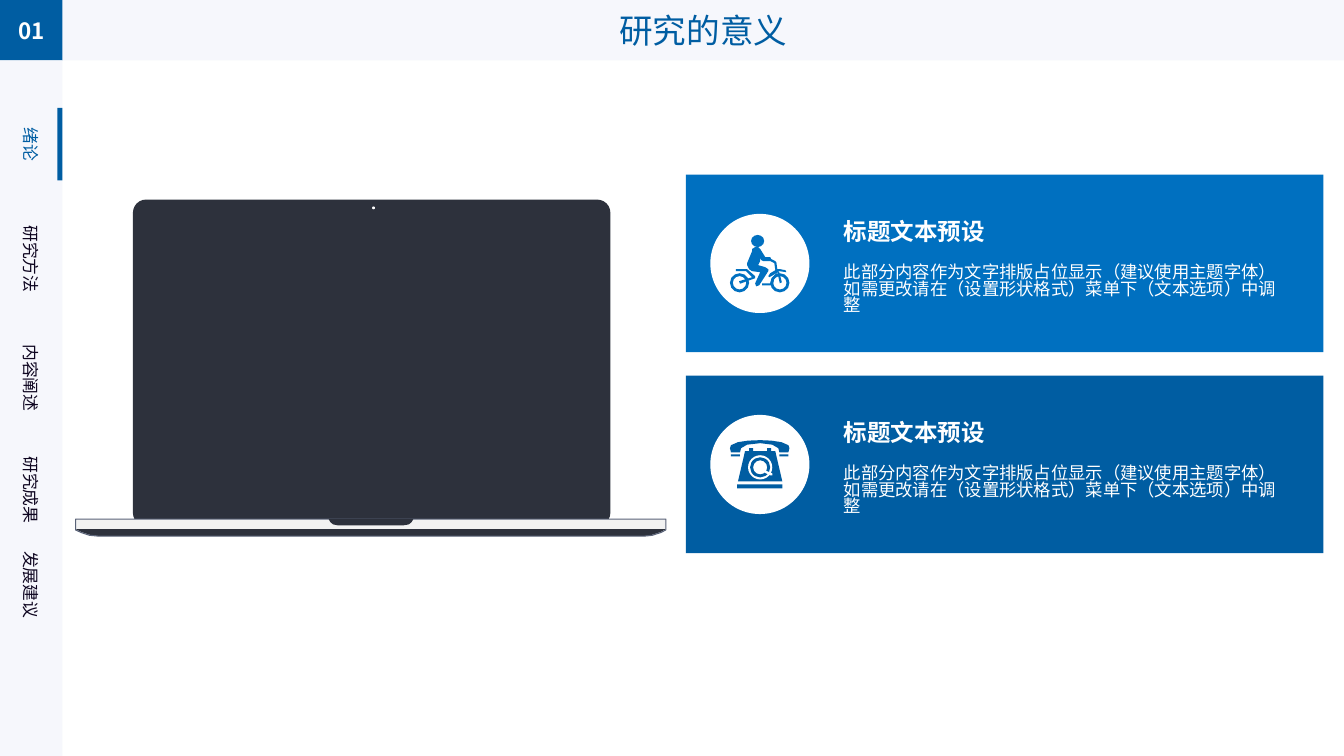
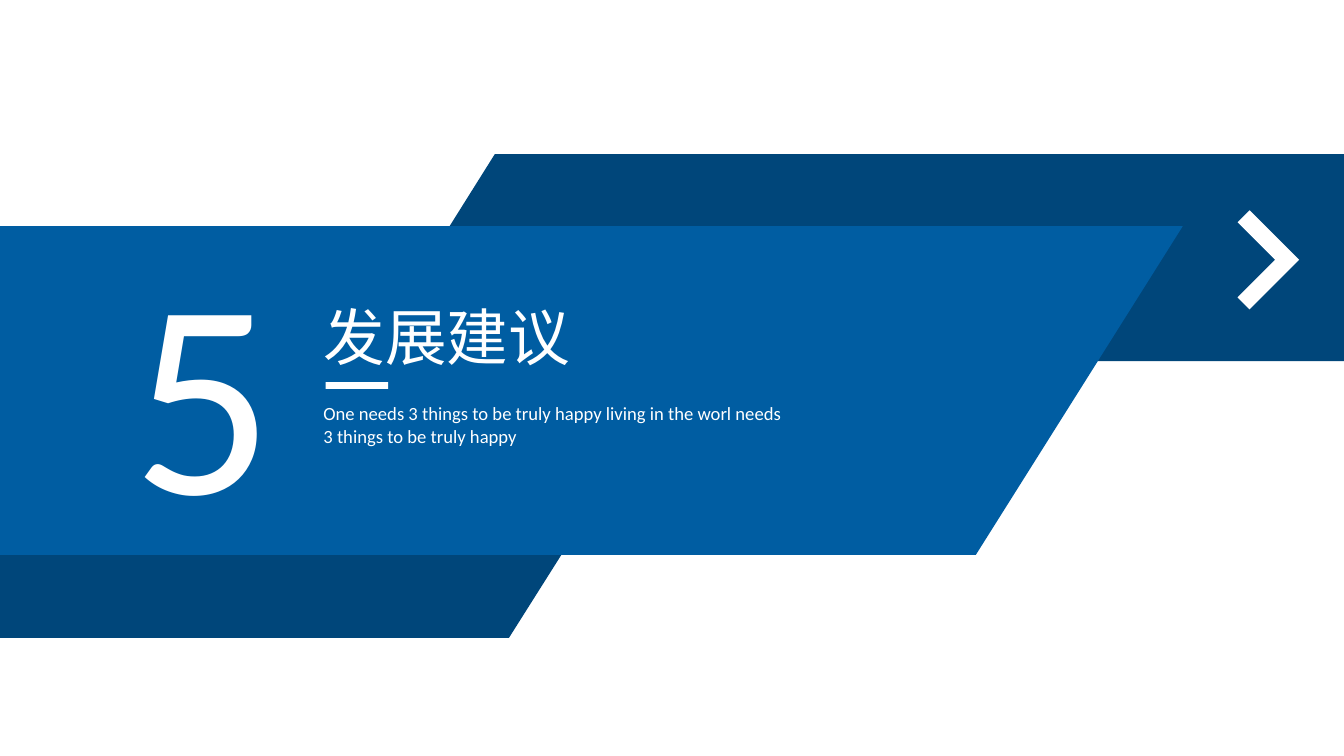
from lxml import etree
from pptx import Presentation
from pptx.dml.color import RGBColor
from pptx.enum.shapes import MSO_SHAPE
from pptx.enum.text import MSO_ANCHOR, MSO_AUTO_SIZE, PP_ALIGN
from pptx.oxml.ns import qn
from pptx.util import Pt

RECT, OVAL, RING = MSO_SHAPE.RECTANGLE, MSO_SHAPE.OVAL, MSO_SHAPE.DONUT
ROUND = MSO_SHAPE.ROUNDED_RECTANGLE
TOP, MID, LOW = MSO_ANCHOR.TOP, MSO_ANCHOR.MIDDLE, MSO_ANCHOR.BOTTOM
LEFT, CENTER = PP_ALIGN.LEFT, PP_ALIGN.CENTER
FIXED = MSO_AUTO_SIZE.NONE

SANS = "Noto Sans CJK SC"
THEME = {
    "color": {
        "blue": "005DA2", "bright": "0070C0", "navy": "00467A", "white": "FFFFFF",
        "pale": "F6F7FC", "ink": "0E0520", "dark": "2D313C", "light": "F2F2F2",
        "edge": "5A6378",
    },
    "text": {
        "badge": {"size": 16, "name": "Noto Sans CJK JP", "bold": True},
        "title": {"size": 24, "name": SANS, "bold": False},
        "menu": {"size": 12, "name": SANS},
        "head": {"size": 16.8, "name": SANS, "bold": True},
        "body": {"size": 12.4, "name": SANS},
        "number": {"size": 199, "name": "Calibri"},
        "part": {"size": 44, "name": SANS, "bold": False},
        "note": {"size": 13.3, "name": "Calibri"},
    },
}
TINT = {key: RGBColor.from_string(value) for key, value in THEME["color"].items()}
WIDE, HIGH = 960, 540
BAR, SIDE = 43.2, 44.6


def draw(slide, form, spot, fill=None, line=None, base=(0, 0), unit=1):
    if form is None:
        dots = [(Pt(base[0] + x * unit), Pt(base[1] + y * unit)) for x, y in spot]
        path = slide.shapes.build_freeform(*dots[0])
        path.add_line_segments(dots[1:], close=True)
        shape = path.convert_to_shape()
    else:
        x, y, w, h = spot
        shape = slide.shapes.add_shape(
            form, Pt(base[0] + x * unit), Pt(base[1] + y * unit), Pt(w * unit), Pt(h * unit))
    shape.shadow.inherit = False
    if fill:
        shape.fill.solid()
        shape.fill.fore_color.rgb = TINT[fill]
    else:
        shape.fill.background()
    if line:
        shape.line.color.rgb = TINT[line]
        shape.line.width = Pt(0.8)
    else:
        shape.line.fill.background()
    return shape


def write(slide, shape, text, style, tint, align=LEFT, space=None, **extra):
    if isinstance(shape, tuple):
        shape = slide.shapes.add_textbox(*[Pt(value) for value in shape])
    frame = shape.text_frame
    frame.text = text
    setup = {"word_wrap": True, "auto_size": FIXED, "vertical_anchor": TOP}
    for key, value in {**setup, **extra}.items():
        setattr(frame, key, value)
    look = {**THEME["text"][style]}
    look["size"] = Pt(look["size"])
    for para in frame.paragraphs:
        para.alignment = align
        if space:
            para.line_spacing = space
        for run in para.runs:
            for key, value in look.items():
                setattr(run.font, key, value)
            run.font.color.rgb = TINT[tint]
            east = etree.SubElement(run.font._element, qn("a:ea"))
            east.set("typeface", look["name"])
    return shape


deck = Presentation()
deck.slide_width, deck.slide_height = Pt(WIDE), Pt(HIGH)
plain = deck.slide_layouts[5]

slide = deck.slides.add_slide(plain)
title = slide.shapes.title
place = {"left": SIDE, "top": 0, "width": WIDE - SIDE, "height": BAR}
for key, value in place.items():
    setattr(title, key, Pt(value))
title.fill.solid()
title.fill.fore_color.rgb = TINT["pale"]
write(slide, title, "研究的意义", "title", "blue", CENTER, vertical_anchor=MID)
badge = draw(slide, RECT, (0, 0, SIDE, BAR), "blue")
write(slide, badge, "01", "badge", "white", CENTER, vertical_anchor=MID)
draw(slide, RECT, (0, BAR, SIDE, HIGH - BAR), "pale")

menu = [("绪论", 103), ("研究方法", 185), ("内容阐述", 270), ("研究成果", 350), ("发展建议", 417.6)]
for row, (label, mid) in enumerate(menu):
    spot = (SIDE / 2 - 32, mid - 10.8, 64, 21.6)
    item = write(slide, spot, label, "menu", "ink" if row else "blue", CENTER, word_wrap=False)
    item.rotation = 90
draw(slide, RECT, (41, 77, 3.6, 51.8), "blue")

screen = draw(slide, ROUND, (95, 142.6, 341, 233), "dark")
screen.adjustments[0] = 0.04
laptop = [
    (RECT, (54, 370.8, 421.6, 7.4), "light", None),
    (None, [(54, 378), (58, 380), (64, 382), (70.6, 383), (460, 383),
            (466, 382), (472, 380), (475.6, 378)], "dark", None),
    (None, [(54, 370.8), (475.6, 370.8), (475.6, 378.6), (472, 380.4), (466, 382.4),
            (460, 383), (70.6, 383), (64, 382.4), (58, 380.4), (54, 378.6)], None, "edge"),
    (None, [(234.8, 370.8), (236, 373), (238, 374.6), (241, 375.2), (288.4, 375.2),
            (292, 374.6), (294, 373), (295.2, 370.8)], "dark", None),
    (OVAL, (265.8, 147.5, 2, 2), "white", None),
]
for form, spot, fill, line in laptop:
    draw(slide, form, spot, fill, line)

bike = [
    (RING, (0, 38, 19, 19), None),
    (RING, (40, 38, 19, 19), None),
    (OVAL, (21, 0, 13, 12), None),
    (None, [(25, 12), (28, 12), (30, 14), (35, 22), (40, 22), (41, 24), (45, 26),
            (46, 27), (47, 34), (50, 34), (55, 35), (56, 37), (49, 36), (46, 38),
            (41, 41), (39, 42), (38, 41), (40, 38), (45, 35), (44, 28), (40, 26),
            (33, 26), (31, 25), (30, 23), (30, 26), (28, 30), (35, 32), (38, 34),
            (38, 36), (29, 50), (26, 51), (25, 48), (30, 37), (22, 36), (19, 34),
            (17, 30), (17, 28), (22, 16), (22, 14)], None),
    (None, [(32, 48), (40, 48), (42, 43), (46, 38), (48, 39), (44, 43),
            (42.5, 50), (32, 50)], None),
    (None, [(47, 37), (49, 37), (51.5, 47), (49.5, 48)], None),
    (None, [(6, 34), (17, 34), (25, 41), (25, 43), (10, 48.5), (9, 46),
            (22, 42), (16, 36), (6, 36)], None),
]
phone = [
    (RECT, (7, 44, 45, 4), None),
    (None, [(19, 8), (23, 8), (23, 11), (37, 11), (37, 8), (41, 8), (41, 11),
            (45, 11), (52, 41), (8, 41), (15, 11), (19, 11)], None),
    (OVAL, (18, 15, 24, 24), "white"),
    (RING, (20, 17, 20, 20), None),
    (None, [(35, 30), (42, 33), (42, 35), (40, 35), (34, 32)], "white"),
    (None, [(1, 5), (8, 2), (18, 0.5), (30, 0), (41, 0.5), (51, 2), (58, 5), (59, 8),
            (58, 12), (49, 12), (48, 8), (42, 4.5), (30, 3), (17, 4.5), (11, 8),
            (10, 12), (1, 12), (0, 8)], None),
    (RECT, (1, 14, 9, 2), None),
    (RECT, (49, 14, 9, 2), None),
]
note = "此部分内容作为文字排版占位显示（建议使用主题字体）\n如需更改请在（设置形状格式）菜单下（文本选项）中调整"
inset = {f"margin_{side}": Pt(7.2) for side in ("left", "right", "top", "bottom")}
for row, (icon, tint, drop) in enumerate([(bike, "bright", 43), (phone, "blue", 46)]):
    top = 124.8 + row * 143.6
    draw(slide, RECT, (490, top, 455.4, 126.7), tint)
    draw(slide, OVAL, (507.4, top + 28, 70.8, 70.8), "white")
    for form, spot, fill in icon:
        part = draw(slide, form, spot, fill or tint, base=(521.4, top + drop), unit=0.72)
        if form == RING:
            part.adjustments[0] = 0.15
    write(slide, (595.6, top + 24.4, 331, 33), "标题文本预设", "head", "white",
          space=0.8, vertical_anchor=LOW, **inset)
    write(slide, (595.6, top + 57.4, 331, 45), note, "body", "white", space=0.8, **inset)

slide = deck.slides.add_slide(plain)
bands = [
    ([(260.6, 258), (353.5, 110), (WIDE, 110), (WIDE, 258)], "navy"),
    ([(0, 321), (448.6, 321), (363.6, 455.6), (0, 455.6)], "navy"),
    ([(0, 161.6), (844.8, 161.6), (697, 396.4), (0, 396.4)], "blue"),
    ([(884, 158.8), (892.6, 150.2), (928, 185.6), (892.6, 221), (884, 212.4), (910.8, 185.6)], "white"),
]
for dots, tint in bands:
    draw(slide, None, dots, tint)
write(slide, (87, 150.5, 116.6, 248.4), "5", "number", "white", CENTER, word_wrap=False)
write(slide, (223.9, 283.7, 347, 39.6),
      "One needs 3 things to be truly happy living in the worl needs 3 things to be truly happy",
      "note", "white")
title = slide.shapes.title
place = {"left": 223.9, "top": 210.2, "width": 195, "height": 60.5}
for key, value in place.items():
    setattr(title, key, Pt(value))
write(slide, title, "发展建议", "part", "white")
slide.shapes.element.append(title.element)
draw(slide, RECT, (232.6, 272.9, 44.6, 5), "white")

deck.save("out.pptx")
